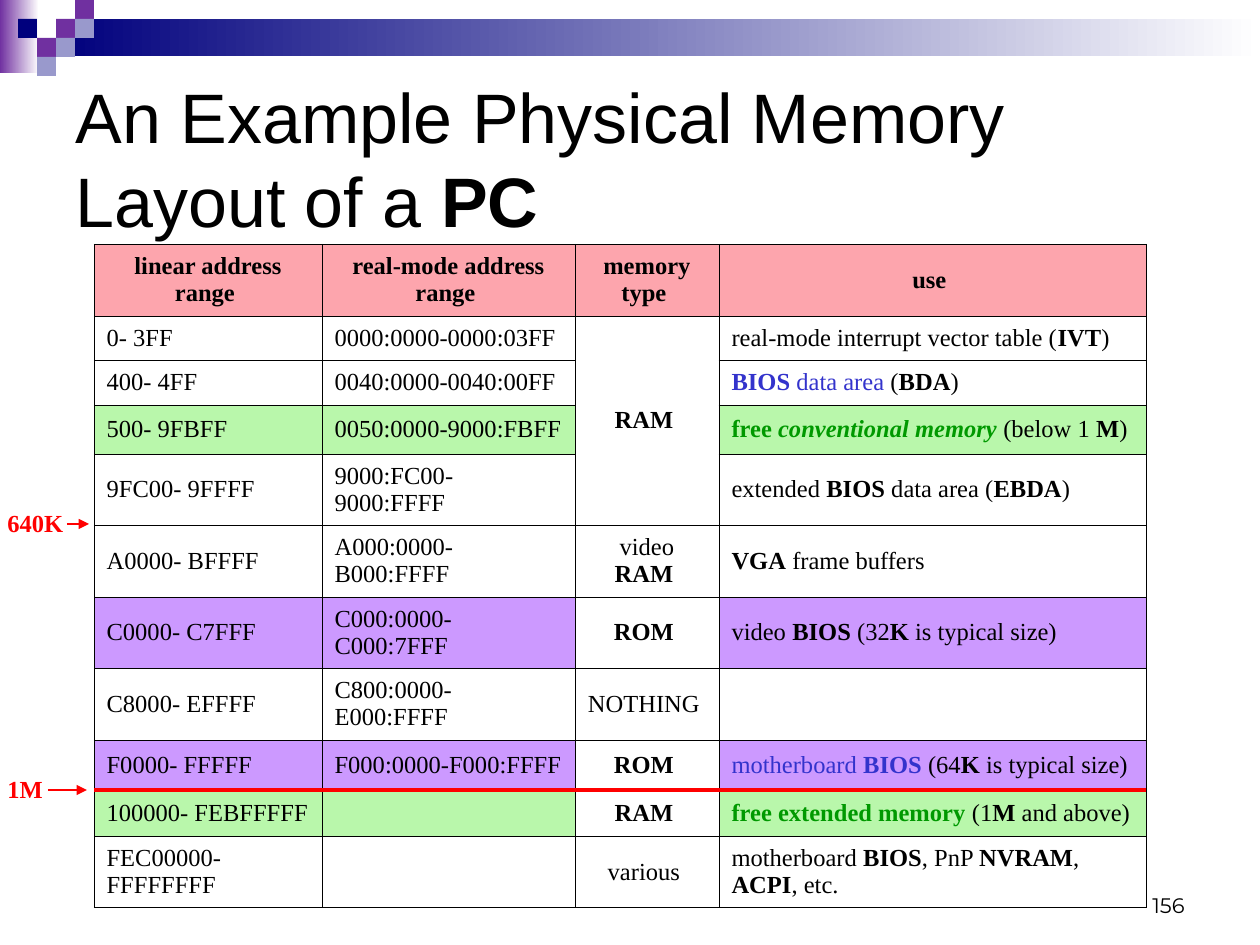
import pptx
import pptx.util
import pptx.dml.color
import pptx.enum.shapes
import pptx.enum.text
import pptx.oxml
import pptx.oxml.ns
import lxml.etree

SCALE = 914400 / 126
SERIF = "Times New Roman"
ALIGN = pptx.enum.text.PP_ALIGN
ANCHOR = pptx.enum.text.MSO_ANCHOR
SIZING = pptx.enum.text.MSO_AUTO_SIZE
PINK, GREEN, MAUVE = "FDA5AD", "B9F7AB", "CC99FF"
NAVY, PLUM, STEEL, RED = "00007D", "7030A0", "9999CC", "FF0000"

# A part of a text may start with marks: * bold, / italic, ^ blue, + green
HEADS = ["*linear address range ", "*real-mode address range ",
         "*memory type ", "*use "]
# Row height, fill, then the four cells; parts are split by |
ROWS = [
    (44, None, "0- 3FF", "0000:0000-0000:03FF", "*RAM ",
     "real-mode interrupt vector table (|*IVT|)"),
    (45, None, "400- 4FF", "0040:0000-0040:00FF", "",
     "*^BIOS|^ data area| (|*BDA|)"),
    (49, GREEN, "500- 9FBFF", "0050:0000-9000:FBFF", "",
     "*+free |*/+conventional memory| (below 1 |*M|)"),
    (71, None, "9FC00- 9FFFF", "9000:FC00-9000:FFFF", "",
     "extended |*BIOS| data area (|*EBDA|)"),
    (72, None, "A0000- BFFFF", "A000:0000-B000:FFFF", "video |*RAM ",
     "*VGA| frame buffers"),
    (71, MAUVE, "C0000- C7FFF", "C000:0000-C000:7FFF", "*ROM ",
     "video |*BIOS| (32|*K| is typical size)"),
    (72, None, "C8000- EFFFF", "C800:0000-E000:FFFF", "NOTHING ", ""),
    (50, MAUVE, "F0000- FFFFF", "F000:0000-F000:FFFF", "*ROM ",
     "^motherboard |*^BIOS| (64|*K| is typical size)"),
    (46, GREEN, "100000- FEBFFFFF", "", "*RAM ",
     "*+free extended memory| (1|*M| and above)"),
    (72, None, "FEC00000- FFFFFFFF", "", "various ",
     "motherboard |*BIOS|, PnP |*NVRAM|, |*ACPI|, etc."),
]


def px(n):
    return pptx.util.Emu(round(n * SCALE))


def box(*nums):
    return [px(n) for n in nums]


def color(code):
    return pptx.dml.color.RGBColor.from_string(code)


def style(para, size, face, code="000000", align=ALIGN.LEFT):
    para.alignment = align
    font = para.font
    font.size, font.name = pptx.util.Pt(size), face
    font.color.rgb = color(code)


def write(para, text):
    for part in text.split("|") if text else []:
        body = part.lstrip("*/^+")
        marks = part[:len(part) - len(body)]
        run = para.add_run()
        run.text = body
        if "*" in marks:
            run.font.bold = True
        if "/" in marks:
            run.font.italic = True
        for mark, code in (("^", "3333CC"), ("+", "009900")):
            if mark in marks:
                run.font.color.rgb = color(code)


def block(slide, x, y, w, h, first, last=None):
    shape = slide.shapes.add_shape(
        pptx.enum.shapes.MSO_SHAPE.RECTANGLE, *box(x, y, w, h))
    shape.shadow.inherit = False
    shape.line.fill.background()
    if last:
        shape.fill.gradient()
        shape.fill.gradient_angle = 0
        for stop, code, pos in zip(shape.fill.gradient_stops, (first, last), (0, 1)):
            stop.color.rgb = color(code)
            stop.position = pos
    else:
        shape.fill.solid()
        shape.fill.fore_color.rgb = color(first)


def banner(slide, x, y):
    block(slide, x, y, 39, 73, PLUM, "FFFFFF")
    block(slide, x + 57, y + 19, 1203, 37, NAVY, "FFFFFF")
    # Small squares by column and row
    for col, row, code in [(2, 1, PLUM), (3, 0, PLUM), (3, 1, STEEL),
                           (1, 2, PLUM), (0, 1, NAVY), (2, 2, STEEL),
                           (1, 3, STEEL)]:
        block(slide, x + 18 + 19 * col, y + 19 * row, 19, 19, code)


def heading(slide, x, y, w, h):
    title = slide.shapes.title
    title.left, title.top, title.width, title.height = box(x, y, w, h)
    frame = title.text_frame
    frame.auto_size = SIZING.NONE
    frame.vertical_anchor = ANCHOR.MIDDLE
    para = frame.paragraphs[0]
    style(para, 40, "Arial")
    write(para, "An Example Physical Memory Layout of a |*PC")


def label(slide, x, y, w, h, text, size, face, code, align=ALIGN.LEFT,
          anchor=ANCHOR.TOP, wrap=False):
    frame = slide.shapes.add_textbox(*box(x, y, w, h)).text_frame
    frame.word_wrap = wrap
    frame.auto_size = SIZING.NONE if wrap else SIZING.SHAPE_TO_FIT_TEXT
    frame.vertical_anchor = anchor
    style(frame.paragraphs[0], size, face, code, align)
    write(frame.paragraphs[0], text)


def rule(slide, x, end, y, width, arrow=False):
    line = slide.shapes.add_connector(
        pptx.enum.shapes.MSO_CONNECTOR.STRAIGHT, *box(x, y, end, y))
    line.line.color.rgb = color(RED)
    line.line.width = pptx.util.Pt(width)
    if arrow:
        tip = lxml.etree.SubElement(line.line._get_or_add_ln(),
                                    pptx.oxml.ns.qn("a:tailEnd"))
        tip.set("type", "triangle")
    lxml.etree.SubElement(line._element.spPr, pptx.oxml.ns.qn("a:effectLst"))


def border(cell):
    props = cell._tc.get_or_add_tcPr()
    for side in "LRTB":
        props.append(pptx.oxml.parse_xml(
            f'<a:ln{side} {pptx.oxml.ns.nsdecls("a")} w="4318"><a:solidFill>'
            f'<a:srgbClr val="000000"/></a:solidFill></a:ln{side}>'))


def fill(cell, text, code, align):
    border(cell)
    if code:
        cell.fill.solid()
        cell.fill.fore_color.rgb = color(code)
    else:
        cell.fill.background()
    cell.vertical_anchor = ANCHOR.MIDDLE
    cell.margin_top = cell.margin_bottom = px(4)
    para = cell.text_frame.paragraphs[0]
    style(para, 14, SERIF, align=align)
    write(para, text)


def grid(slide, x, y):
    cols = [228, 253, 144, 427]
    rows = [(72, PINK, *HEADS)] + ROWS
    high = sum(row[0] for row in rows)
    table = slide.shapes.add_table(
        len(rows), len(cols), *box(x, y, sum(cols), high)).table
    table.first_row = table.horz_banding = False
    for col, w in zip(table.columns, cols):
        col.width = px(w)
    for r, (h, code, *texts) in enumerate(rows):
        table.rows[r].height = px(h)
        for c, text in enumerate(texts):
            mid = r == 0 or c == 2
            tint = None if r and c == 2 else code
            fill(table.cell(r, c), text, tint,
                 ALIGN.CENTER if mid else ALIGN.LEFT)
    table.cell(1, 2).merge(table.cell(4, 2))


def main():
    deck = pptx.Presentation()
    deck.slide_width, deck.slide_height = box(1260, 945)
    slide = deck.slides.add_slide(deck.slide_layouts[5])
    banner(slide, 0, 0)
    # Page number
    label(slide, 903, 861, 294, 63, "156", 12, "Montserrat", "000000",
          ALIGN.RIGHT, ANCHOR.BOTTOM, True)
    heading(slide, 63, 63, 1134, 189)
    grid(slide, 94, 244)
    # Address marks beside the table
    for text, w, x, end, y in [("*1M", 62, 48, 87, 790),
                               ("*640K", 82, 67, 89, 524)]:
        rule(slide, x, end, y, 0.75, True)
        label(slide, -5, y - 22, w, 43, text, 14, SERIF, RED)
    rule(slide, 94, 1146, 790, 2.25)
    deck.save("out.pptx")


if __name__ == "__main__":
    main()
